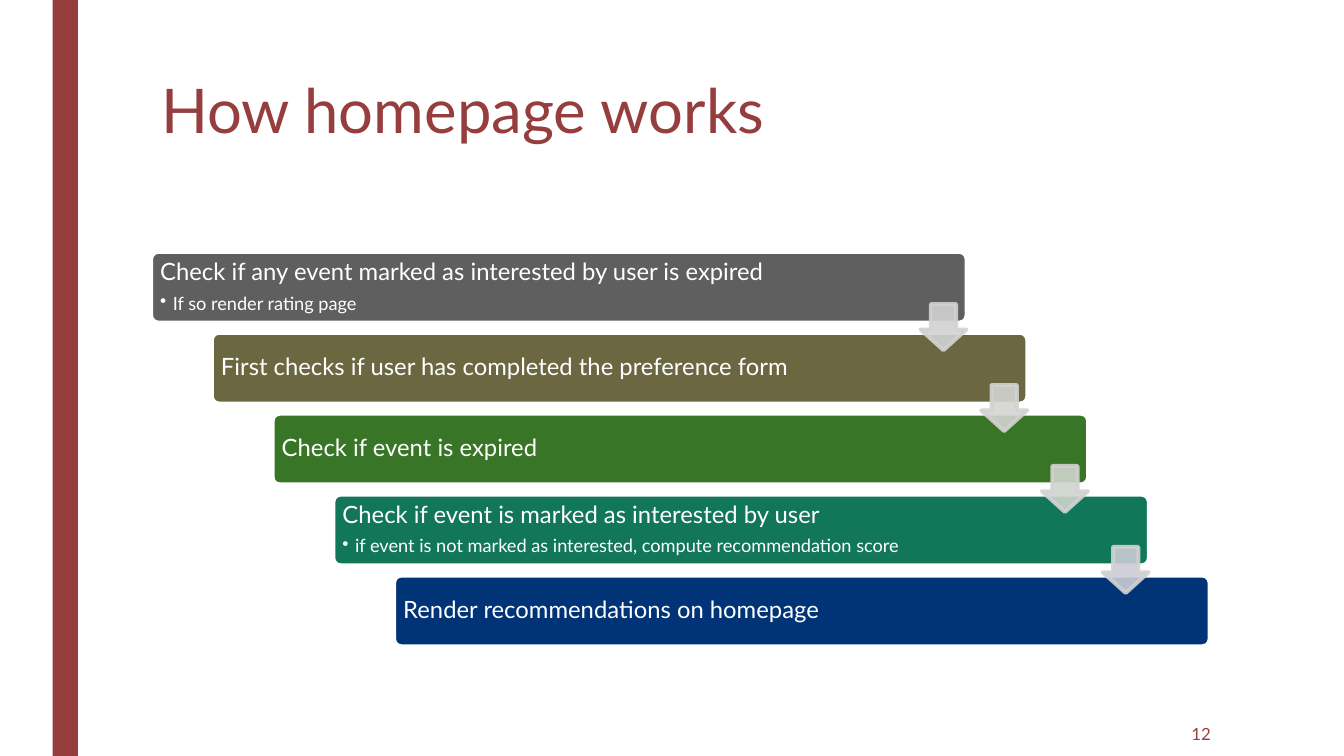
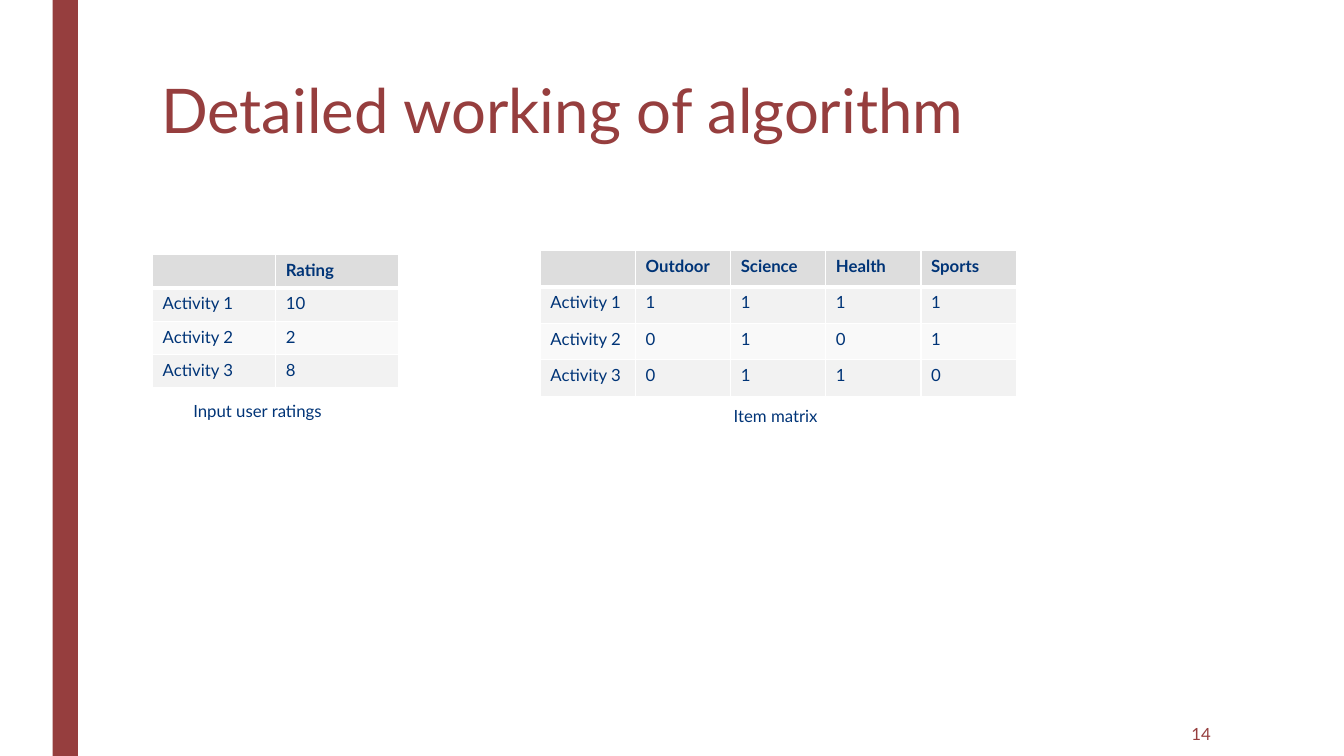
from dataclasses import dataclass

from lxml.etree import SubElement
from pptx import Presentation
from pptx.dml.color import RGBColor
from pptx.enum.shapes import MSO_SHAPE as Preset
from pptx.enum.text import MSO_ANCHOR as Anchor, PP_ALIGN as Align
from pptx.oxml.ns import qn
from pptx.util import Pt


@dataclass(frozen=True)
class Theme:
    font: str = "Lato"
    accent: str = "963E3E"
    navy: str = "003477"
    white: str = "FFFFFF"
    arrow_line: str = "D2D2D2"
    header_fill: str = "DDDDDD"
    row_fills: tuple[str, str] = ("F2F2F2", "F9F9F9")
    title_size: float = 44
    step_size: float = 17
    detail_size: float = 13
    small_size: float = 12
    outline: float = 2.75


THEME = Theme()


@dataclass(frozen=True)
class Step:
    text: str
    fill: str
    detail: str = ""
    arrow_fill: str = ""


@dataclass(frozen=True)
class Matrix:
    caption: str
    rows: tuple[tuple[str, ...], ...]
    left: float
    top: float
    column_width: float
    row_height: float
    caption_left: float
    caption_top: float


STEPS = (
    Step("Check if any event marked as interested by user is expired", "5F5F5F",
         "If so render rating page", "D2D2D2"),
    Step("First checks if user has completed the preference form", "6B6741",
         arrow_fill="D4D4D0"),
    Step("Check if event is expired", "387527", arrow_fill="CED5CE"),
    Step("Check if event is marked as interested by user", "127758",
         "if event is not marked as interested, compute recommendation score", "CBCBD6"),
    Step("Render recommendations on homepage", THEME.navy),
)

MATRICES = (
    Matrix("Input user ratings",
           (("", "Rating"),
            ("Activity 1", "10"),
            ("Activity 2", "2"),
            ("Activity 3", "8")),
           left=109, top=182, column_width=88, row_height=23.8,
           caption_left=131, caption_top=283),
    Matrix("Item matrix",
           (("", "Outdoor", "Science", "Health", "Sports"),
            ("Activity 1", "1", "1", "1", "1"),
            ("Activity 2", "0", "1", "0", "1"),
            ("Activity 3", "0", "1", "1", "0")),
           left=386, top=179, column_width=68, row_height=26,
           caption_left=517, caption_top=286.5),
)


# Text and shape helpers
def rgb(color: str) -> RGBColor:
    return RGBColor.from_string(color)


def write(text_frame, text: str, *, size: float, color: str, bold: bool = False,
          align=Align.LEFT, line_spacing: float = 1.0, space_after: float = 0,
          bullet_indent: float = 0) -> None:
    """Fill the empty first paragraph, or add a further one."""
    paragraph = text_frame.paragraphs[0]
    if paragraph.runs:
        paragraph = text_frame.add_paragraph()
    if bullet_indent:
        properties = paragraph._p.get_or_add_pPr()
        properties.set("marL", str(Pt(bullet_indent)))
        properties.set("indent", str(-Pt(bullet_indent)))
        SubElement(properties, qn("a:buChar"), char="•")
    paragraph.alignment = align
    paragraph.line_spacing = line_spacing
    paragraph.space_after = Pt(space_after)
    if not text:
        # An empty cell keeps the small type size, so its row does not grow
        SubElement(paragraph._p, qn("a:endParaRPr"), sz=str(round(size * 100)))
        return
    run = paragraph.add_run()
    run.text = text
    run.font.name = THEME.font
    run.font.size = Pt(size)
    run.font.bold = bold
    run.font.color.rgb = rgb(color)


def add_label(slide, text: str, left: float, top: float, width: float, height: float, *,
              anchor=Anchor.TOP, **text_format) -> None:
    text_frame = slide.shapes.add_textbox(Pt(left), Pt(top), Pt(width), Pt(height)).text_frame
    text_frame.word_wrap = True
    text_frame.vertical_anchor = anchor
    write(text_frame, text, **text_format)


def add_block(slide, preset, left: float, top: float, width: float, height: float, *,
              fill: str, line: str = "", adjustments: tuple[float, ...] = ()):
    shape = slide.shapes.add_shape(preset, Pt(left), Pt(top), Pt(width), Pt(height))
    shape.shadow.inherit = False
    shape.fill.solid()
    shape.fill.fore_color.rgb = rgb(fill)
    if line:
        shape.line.color.rgb = rgb(line)
        shape.line.width = Pt(THEME.outline)
    else:
        shape.line.fill.background()
    for index, value in enumerate(adjustments):
        shape.adjustments[index] = value
    return shape


def set_opacity(shape, percent: int) -> None:
    for color in list(shape._element.spPr.iter(qn("a:srgbClr"))):
        SubElement(color, qn("a:alpha"), val=str(percent * 1000))


# Parts shared by the slides
def add_slide(presentation, title: str, number: int):
    slide = presentation.slides.add_slide(presentation.slide_layouts[6])
    add_block(slide, Preset.RECTANGLE, 37.6, 0, 18, 540, fill=THEME.accent)
    add_label(slide, title, 108, 54, 756, 116.6, size=THEME.title_size,
              color=THEME.accent, line_spacing=0.89)
    add_label(slide, str(number), 746, 508.3, 126, 31.7, anchor=Anchor.MIDDLE,
              size=THEME.small_size, color=THEME.accent, align=Align.RIGHT)
    return slide


# Staircase of steps
def add_staircase(slide, steps: tuple[Step, ...]) -> None:
    left, top, width, height = 108, 180, 582.4, 50.4
    shift_right, shift_down = 43.4, 57.8
    arrow_size, arrow_drop = 33, 37.2
    corners = [(left + index * shift_right, top + index * shift_down)
               for index in range(len(steps))]

    for step, (x, y) in zip(steps, corners):
        shape = add_block(slide, Preset.ROUNDED_RECTANGLE, x, y, width, height,
                          fill=step.fill, line=THEME.white, adjustments=(0.1,))
        text_frame = shape.text_frame
        text_frame.word_wrap = True
        text_frame.vertical_anchor = Anchor.MIDDLE
        text_frame.margin_left = text_frame.margin_right = Pt(5)
        text_frame.margin_top = text_frame.margin_bottom = Pt(5)
        write(text_frame, step.text, size=THEME.step_size, color=THEME.white,
              line_spacing=0.9, space_after=6)
        if step.detail:
            write(text_frame, step.detail, size=THEME.detail_size, color=THEME.white,
                  line_spacing=0.9, space_after=2, bullet_indent=9)

    # Arrows lie over the boxes, flush with the right edge of each step
    for step, (x, y) in zip(steps, corners):
        if step.arrow_fill:
            arrow = add_block(slide, Preset.DOWN_ARROW, x + width - arrow_size, y + arrow_drop,
                              arrow_size, arrow_size, fill=step.arrow_fill,
                              line=THEME.arrow_line, adjustments=(0.55, 0.45))
            set_opacity(arrow, 90)


# Tables with captions
def set_borders(cell, **widths: float) -> None:
    properties = cell._tc.get_or_add_tcPr()
    for side, width in widths.items():
        border = SubElement(properties, qn(f"a:ln{side}"), w=str(Pt(width)))
        SubElement(SubElement(border, qn("a:solidFill")), qn("a:srgbClr"), val=THEME.white)


def add_matrix(slide, matrix: Matrix) -> None:
    row_count, column_count = len(matrix.rows), len(matrix.rows[0])
    table = slide.shapes.add_table(
        row_count, column_count, Pt(matrix.left), Pt(matrix.top),
        Pt(matrix.column_width * column_count), Pt(matrix.row_height * row_count)).table
    for column in table.columns:
        column.width = Pt(matrix.column_width)
    for row_index, values in enumerate(matrix.rows):
        table.rows[row_index].height = Pt(matrix.row_height)
        header = row_index == 0
        fill = THEME.header_fill if header else THEME.row_fills[(row_index - 1) % 2]
        for column_index, value in enumerate(values):
            cell = table.cell(row_index, column_index)
            set_borders(cell, L=1, R=1, T=3 if row_index == 1 else 1, B=3 if header else 1)
            cell.fill.solid()
            cell.fill.fore_color.rgb = rgb(fill)
            write(cell.text_frame, value, size=THEME.small_size, color=THEME.navy, bold=header)
    add_label(slide, matrix.caption, matrix.caption_left, matrix.caption_top, 116, 21.6,
              size=THEME.small_size, color=THEME.navy)


def main() -> None:
    presentation = Presentation()
    presentation.slide_width, presentation.slide_height = Pt(960), Pt(540)

    add_staircase(add_slide(presentation, "How homepage works", 12), STEPS)

    algorithm_slide = add_slide(presentation, "Detailed working of algorithm", 14)
    for matrix in MATRICES:
        add_matrix(algorithm_slide, matrix)

    presentation.save("out.pptx")


if __name__ == "__main__":
    main()
